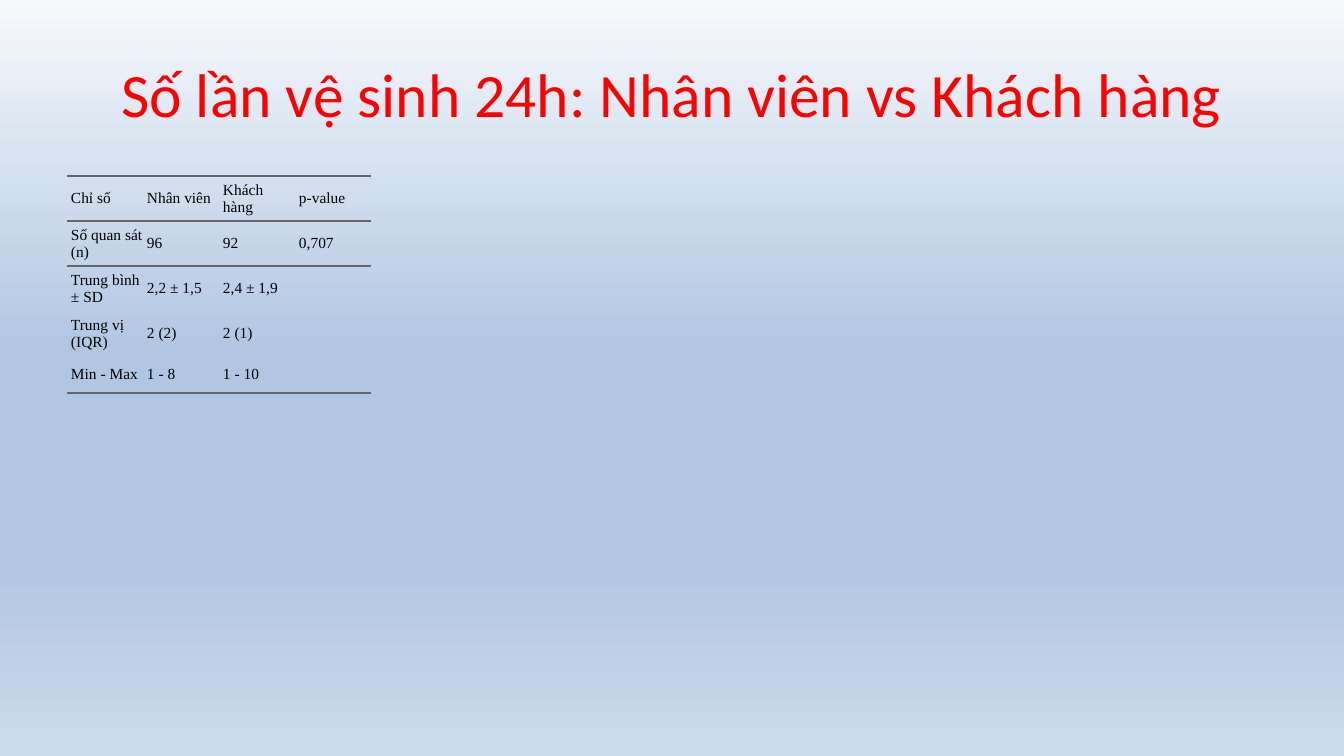
from lxml import etree
from pptx import Presentation
from pptx import util as u
from pptx.dml.color import RGBColor
from pptx.enum import text
from pptx.oxml.ns import qn

TITLE = "Số lần vệ sinh 24h: Nhân viên vs Khách hàng"
ROWS = [
    ("Chỉ số", "Nhân viên", "Khách hàng", "p-value"),
    ("Số quan sát (n)", "96", "92", "0,707"),
    ("Trung bình ± SD", "2,2 ± 1,5", "2,4 ± 1,9", ""),
    ("Trung vị (IQR)", "2 (2)", "2 (1)", ""),
    ("Min - Max", "1 - 8", "1 - 10", ""),
]
ROW_HEIGHTS = [43, 43, 43, 42, 37]
COLUMN_WIDTH = 76
RULES = {0: ("lnT", "lnB"), 1: ("lnT",), len(ROWS) - 1: ("lnB",)}
RULE_COLOR = "666666"
BACKGROUND = [(0, "F6F9FC"), (47, "B0C6E1"), (74, "B0C6E1"), (98, "CAD9EB")]
PLAIN_TABLE = "{2D5ABB26-0587-4C30-8999-92F81FD0307C}"


def px(length):
    return u.Emu(round(length * 914400 / 100.8))


def rgb(value):
    return RGBColor.from_string(value)


def add_color(parent, value):
    etree.SubElement(parent, qn("a:srgbClr"), val=value)


def paint_background(page):
    fill = page.background.fill
    fill.gradient()
    fill.gradient_angle = 270
    stops = page.element.find(".//" + qn("a:gsLst"))
    for stop in list(stops):
        stops.remove(stop)
    for percent, value in BACKGROUND:
        stop = etree.SubElement(stops, qn("a:gs"), pos=str(percent * 1000))
        add_color(stop, value)


def style(para, font, size, value):
    para.font.name = font
    para.font.size = u.Pt(size)
    para.font.color.rgb = rgb(value)


def add_title(page):
    box = page.shapes.add_textbox(px(67), px(30), px(1210), px(126))
    frame = box.text_frame
    frame.word_wrap = True
    frame.vertical_anchor = text.MSO_ANCHOR.MIDDLE
    para = frame.paragraphs[0]
    para.text = TITLE
    para.alignment = text.PP_ALIGN.CENTER
    style(para, "Calibri", 44, "FF0000")


def fill_cell(cell, words, rules):
    cell.text = words
    cell.vertical_anchor = text.MSO_ANCHOR.MIDDLE
    cell.margin_left = cell.margin_right = 0
    cell.margin_top = cell.margin_bottom = px(4)
    para = cell.text_frame.paragraphs[0]
    para.space_before = para.space_after = u.Pt(3)
    style(para, "Times New Roman", 11, "000000")
    settings = para._p.get_or_add_pPr()
    settings.set("marL", str(px(4)))
    settings.set("indent", "0")
    properties = cell._tc.get_or_add_tcPr()
    for side in rules:
        line = etree.SubElement(properties, qn("a:" + side), w=str(u.Pt(1.5)))
        add_color(etree.SubElement(line, qn("a:solidFill")), RULE_COLOR)
    cell.fill.background()


def add_statistics(page):
    columns = len(ROWS[0])
    frame = page.shapes.add_table(len(ROWS), columns, px(67), px(176),
                                  px(COLUMN_WIDTH * columns), px(sum(ROW_HEIGHTS)))
    table = frame.table
    table.first_row = table.horz_banding = False
    table._tbl.tblPr.find(qn("a:tableStyleId")).text = PLAIN_TABLE
    for column in table.columns:
        column.width = px(COLUMN_WIDTH)
    for index, (row, height) in enumerate(zip(table.rows, ROW_HEIGHTS)):
        row.height = px(height)
        for cell, words in zip(row.cells, ROWS[index]):
            fill_cell(cell, words, RULES.get(index, ()))


def main():
    deck = Presentation()
    deck.slide_width, deck.slide_height = px(1344), px(756)
    page = deck.slides.add_slide(deck.slide_layouts[6])
    paint_background(page)
    add_title(page)
    add_statistics(page)
    deck.save("out.pptx")


if __name__ == "__main__":
    main()
